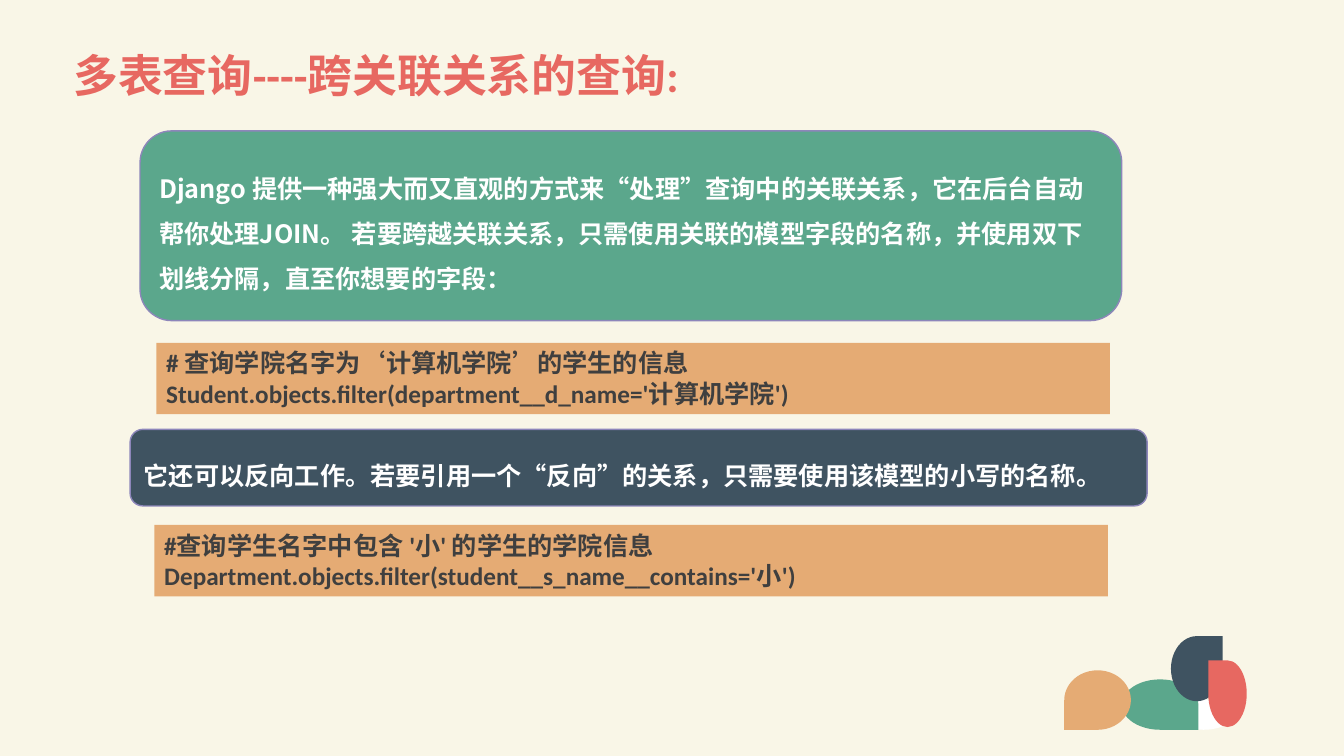
from pptx import Presentation
from pptx.dml.color import RGBColor
from pptx.enum.shapes import MSO_SHAPE
from pptx.enum.text import MSO_ANCHOR, PP_ALIGN
from pptx.oxml.ns import qn
from pptx.util import Cm, Pt

CREAM, WHITE, GREEN, NAVY = "F9F6E7", "FFFFFF", "5BA78C", "3F5361"
CORAL, SAND, LILAC, INK = "E76861", "E5AB74", "8D86BA", "3F3F3F"
LATIN, CJK = "Calibri", "Noto Sans CJK SC"


def rgb(value):
    """Turn a hex string into a colour."""
    return RGBColor.from_string(value)


def add_shape(slide, kind, box, fill, line=None):
    """Add a filled preset shape in a box given in centimetres."""
    sp = slide.shapes.add_shape(kind, *map(Cm, box))
    sp.shadow.inherit = False
    sp.fill.solid()
    sp.fill.fore_color.rgb = rgb(fill)
    if line:
        sp.line.color.rgb = rgb(line)
        sp.line.width = Pt(1)
    else:
        sp.line.fill.background()
    return sp


def write(sp, lines, size, color, font, anchor, spacing=1.0):
    """Write bold, left-aligned lines into a shape."""
    tf = sp.text_frame
    tf.word_wrap = True
    tf.vertical_anchor = anchor
    for i, line in enumerate(lines):
        p = tf.add_paragraph() if i else tf.paragraphs[0]
        p.alignment = PP_ALIGN.LEFT
        p.line_spacing = spacing
        r = p.add_run()
        r.text = line
        r.font.size = Pt(size)
        r.font.bold = True
        r.font.name = font
        r.font.color.rgb = rgb(color)
        ea = r.font._element.makeelement(qn("a:ea"), {"typeface": CJK})
        r.font._element.find(qn("a:latin")).addnext(ea)


def add_title(slide, box, text):
    """Add the slide heading."""
    sp = slide.shapes.add_textbox(*map(Cm, box))
    write(sp, [text], 32, CORAL, LATIN, MSO_ANCHOR.MIDDLE, 0.9)


def add_note(slide, box, fill, text):
    """Add a rounded explanation panel."""
    sp = add_shape(slide, MSO_SHAPE.ROUNDED_RECTANGLE, box, fill, LILAC)
    write(sp, [text], 18, WHITE, CJK, MSO_ANCHOR.MIDDLE, 1.5)


def add_code(slide, box, lines):
    """Add a code sample panel."""
    sp = add_shape(slide, MSO_SHAPE.RECTANGLE, box, SAND)
    write(sp, lines, 18, INK, LATIN, MSO_ANCHOR.TOP)


def add_petal(slide, box, fill, turns):
    """Add an ellipse with one square corner, turned clockwise from top right."""
    x, y, w, h = box
    if turns % 2:
        x, y, w, h = x + (w - h) / 2, y + (h - w) / 2, h, w
    sp = add_shape(slide, MSO_SHAPE.TEAR, (x, y, w, h), fill)
    sp.rotation = 90 * turns


def add_ornament(slide, box):
    """Add the cluster of petals in the corner."""
    left, top, width, height = box
    add_shape(slide, MSO_SHAPE.OVAL,
              (left + 2.75, top + height - 0.76, 1.52, 0.76), WHITE)
    petals = [
        (1.45, height - 1.27, 1.93, 1.27, GREEN, 1),
        (2.69, 0, 1.3, 1.64, NAVY, 0),
        (width - 0.97, 0.61, 0.97, 1.68, CORAL, 3),
        (0, height - 1.5, 1.68, 1.5, SAND, 2),
    ]
    for x, y, w, h, fill, turns in petals:
        add_petal(slide, (left + x, top + y, w, h), fill, turns)


def main():
    """Build and save the slide."""
    prs = Presentation()
    prs.slide_width, prs.slide_height = Cm(33.87), Cm(19.05)
    s = prs.slides.add_slide(prs.slide_layouts[6])
    s.background.fill.solid()
    s.background.fill.fore_color.rgb = rgb(CREAM)

    add_ornament(s, (26.82, 16.03, 4.6, 2.36))
    add_title(s, (1.6, 0.61, 31.22, 2.69), "多表查询----跨关联关系的查询:")
    add_note(s, (3.53, 3.3, 24.74, 4.78), GREEN,
             "Django 提供一种强大而又直观的方式来“处理”查询中的关联关系，"
             "它在后台自动帮你处理JOIN。 若要跨越关联关系，只需使用关联的模型字段的名称，"
             "并使用双下划线分隔，直至你想要的字段：")
    add_code(s, (3.94, 8.64, 24.03, 1.8),
             ["# 查询学院名字为‘计算机学院’的学生的信息",
              "Student.objects.filter(department__d_name='计算机学院')"])
    add_note(s, (3.28, 10.82, 25.63, 1.93), NAVY,
             "它还可以反向工作。若要引用一个“反向”的关系，只需要使用该模型的小写的名称。")
    add_code(s, (3.89, 13.23, 24.03, 1.8),
             ["#查询学生名字中包含 '小' 的学生的学院信息",
              "Department.objects.filter(student__s_name__contains='小')"])
    prs.save("out.pptx")


if __name__ == "__main__":
    main()
